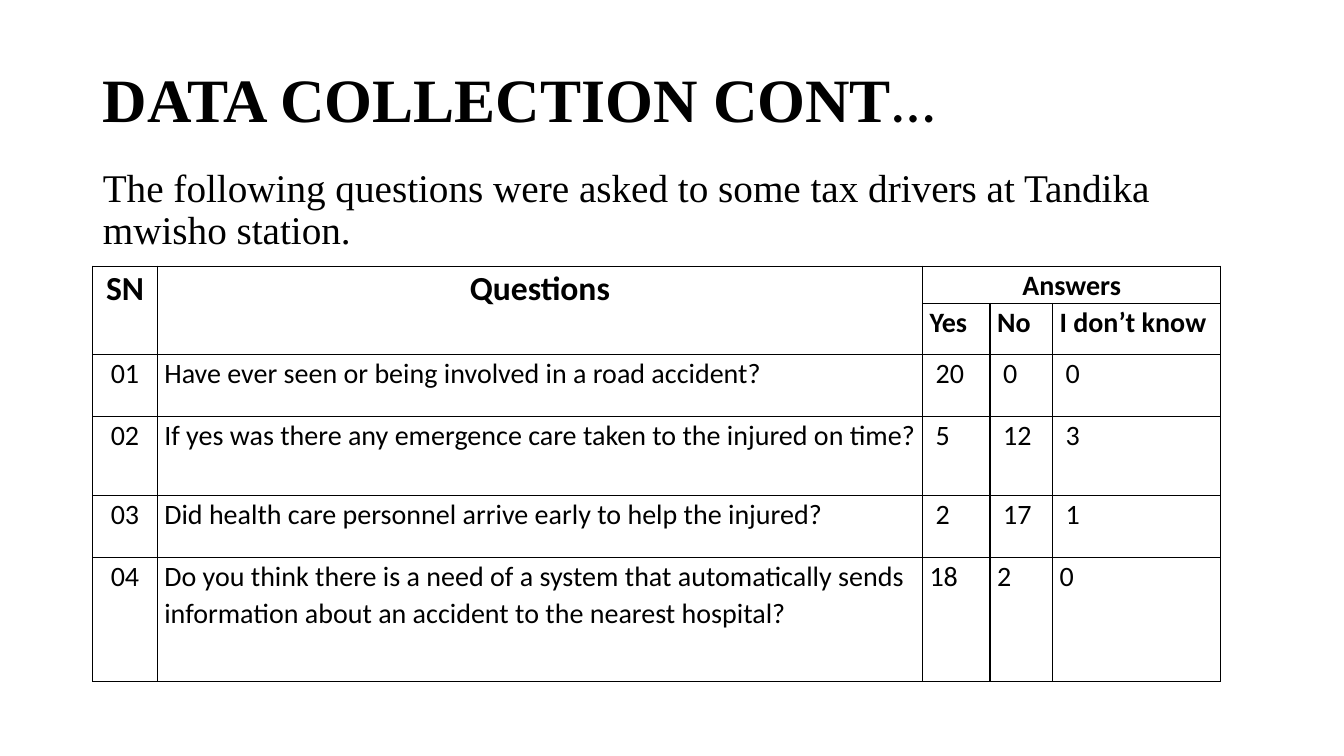
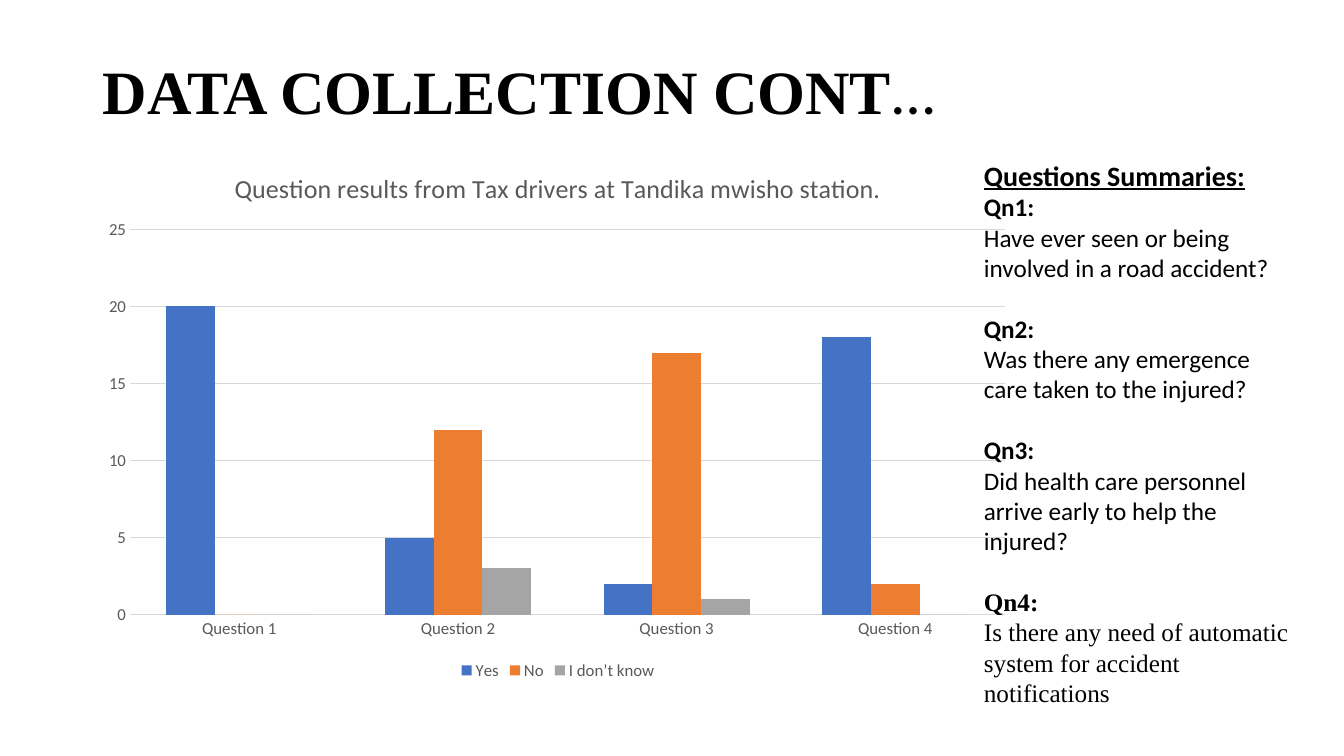
import pptx
import pptx.util
import pptx.chart.data
import pptx.dml.color
import pptx.enum.chart
import pptx.enum.text
import pptx.oxml
import pptx.oxml.ns

Inches, Pt = pptx.util.Inches, pptx.util.Pt
ALIGN = pptx.enum.text.PP_ALIGN
SERIF, SANS = "Times New Roman", "Calibri"
BLACK, GREY, GRID = "000000", "595959", "D9D9D9"
LEFT, WIDTH = 0.92, 11.5
ANSWERS = ["Yes", "No", "I don’t know"]
ANSWER_COLORS = ["4472C4", "ED7D31", "A5A5A5"]
SURVEY = [
    ("Have ever seen or being involved in a road accident?", (20, 0, 0)),
    ("If yes was there any emergence care taken to the injured on time?", (5, 12, 3)),
    ("Did health care personnel arrive early to help the injured?", (2, 17, 1)),
    ("Do you think there is a need of a system that automatically sends "
     "information about an accident to the nearest hospital?", (18, 2, 0)),
]
SUMMARIES = [
    ("Have ever seen or being involved in a road accident?", SANS),
    ("Was there any emergence care taken to the injured?", SANS),
    ("Did health care personnel arrive early to help the injured?", SANS),
    ("Is there any need of automatic system for accident notifications", SERIF),
]


def rgb(color):
    return pptx.dml.color.RGBColor.from_string(color)


def style_font(font, size, face=SANS, color=BLACK, bold=False, underline=False):
    font.size, font.name, font.bold, font.underline = Pt(size), face, bold, underline
    font.color.rgb = rgb(color)


def add_run(paragraph, text, size, face=SANS, **style):
    run = paragraph.add_run()
    run.text = text
    style_font(run.font, size, face, **style)


def place(shape, box):
    shape.left, shape.top, shape.width, shape.height = map(Inches, box)


def add_title(slide, height):
    title = slide.shapes.title
    place(title, (LEFT, 0.4, WIDTH, height))
    frame = title.text_frame
    frame.auto_size = pptx.enum.text.MSO_AUTO_SIZE.NONE
    frame.vertical_anchor = pptx.enum.text.MSO_ANCHOR.MIDDLE
    heading = frame.paragraphs[0]
    heading.alignment, heading.line_spacing = ALIGN.LEFT, 0.9
    add_run(heading, "DATA COLLECTION CONT", 44, SERIF, bold=True)
    add_run(heading, "…", 44)


def add_intro(slide, box):
    body = slide.placeholders[1]
    place(body, box)
    body.text_frame.auto_size = pptx.enum.text.MSO_AUTO_SIZE.NONE
    intro = body.text_frame.paragraphs[0]
    # Plain paragraph: no bullet, no hanging indent
    properties = intro._p.get_or_add_pPr()
    properties.set("marL", "0")
    properties.set("indent", "0")
    properties.append(pptx.oxml.parse_xml(f'<a:buNone {pptx.oxml.ns.nsdecls("a")}/>'))
    intro.line_spacing, intro.space_before = 0.9, Pt(0)
    add_run(intro, "The following questions were asked to some tax drivers at "
                   "Tandika mwisho station.", 28, SERIF)


def outline_cell(cell):
    properties = cell._tc.get_or_add_tcPr()
    for side in "LRTB":
        properties.append(pptx.oxml.parse_xml(
            f'<a:ln{side} {pptx.oxml.ns.nsdecls("a")} w="12700"><a:solidFill>'
            f'<a:srgbClr val="{BLACK}"/></a:solidFill></a:ln{side}>'))
    cell.fill.background()


def write_cell(cell, text, size=20, bold=False, centered=False, indent=0):
    cell.margin_left = Inches(0.07 + indent)
    paragraph = cell.text_frame.paragraphs[0]
    paragraph.line_spacing = 1.07
    paragraph.alignment = ALIGN.CENTER if centered else ALIGN.LEFT
    add_run(paragraph, text, size, bold=bold)


def add_survey_table(slide, box):
    column_widths = [0.64, 7.59, 0.67, 0.62, 1.67]
    row_heights = [0.37, 0.51, 0.61, 0.79, 0.61, 1.23]
    survey = slide.shapes.add_table(len(row_heights), len(column_widths),
                                    *map(Inches, box)).table
    survey.first_row = survey.horz_banding = False
    for column, width in zip(survey.columns, column_widths):
        column.width = Inches(width / sum(column_widths) * box[2])
    for row, height in zip(survey.rows, row_heights):
        row.height = Inches(height / sum(row_heights) * box[3])
    for cell in survey.iter_cells():
        outline_cell(cell)
        cell.margin_right = Inches(0.07)
        cell.margin_top = cell.margin_bottom = 0

    # Two-level header
    for column, (text, size, last_row, last_column) in enumerate(
            [("SN", 24, 1, 0), ("Questions", 24, 1, 1), ("Answers", 20, 0, 4)]):
        header = survey.cell(0, column)
        header.merge(survey.cell(last_row, last_column))
        write_cell(header, text, size, bold=True, centered=True)
    for column, answer in enumerate(ANSWERS, 2):
        write_cell(survey.cell(1, column), answer, bold=True)

    # One row per question; counts are indented except in the last row
    for number, (question, counts) in enumerate(SURVEY, 1):
        row = number + 1
        write_cell(survey.cell(row, 0), f"{number:02}", centered=True)
        write_cell(survey.cell(row, 1), question)
        indent = 0.06 if number < len(SURVEY) else 0
        for column, count in enumerate(counts, 2):
            write_cell(survey.cell(row, column), str(count), indent=indent)


def fix_plot_area(chart, x, y, width, height):
    plot_area = chart._chartSpace.chart.plotArea
    for layout in plot_area.findall(pptx.oxml.ns.qn("c:layout")):
        plot_area.remove(layout)
    shares = "".join(f'<c:{tag} val="{share}"/>' for tag, share in
                     zip("xywh", (x, y, width, height)))
    plot_area.insert(0, pptx.oxml.parse_xml(
        f'<c:layout {pptx.oxml.ns.nsdecls("c")}><c:manualLayout>'
        '<c:layoutTarget val="inner"/><c:xMode val="edge"/><c:yMode val="edge"/>'
        f'{shares}</c:manualLayout></c:layout>'))


def add_results_chart(slide, box):
    results = pptx.chart.data.CategoryChartData()
    results.categories = [f"Question {n}" for n in range(1, len(SURVEY) + 1)]
    for answer, counts in zip(ANSWERS, zip(*(counts for _, counts in SURVEY))):
        results.add_series(answer, counts)
    chart = slide.shapes.add_chart(pptx.enum.chart.XL_CHART_TYPE.COLUMN_CLUSTERED,
                                   *map(Inches, box), results).chart
    style_font(chart.font, 10)
    add_run(chart.chart_title.text_frame.paragraphs[0],
            "Question results from Tax drivers at Tandika mwisho station.",
            18.6, color=GREY)
    chart.chart_title.include_in_layout = False
    fix_plot_area(chart, 0.04, 0.15, 0.94, 0.72)

    # Bars
    bars = chart.plots[0]
    bars.gap_width, bars.overlap, bars.vary_by_categories = 150, 0, False
    for series, color in zip(bars.series, ANSWER_COLORS):
        series.format.fill.solid()
        series.format.fill.fore_color.rgb = rgb(color)

    # Axes and gridlines
    for axis in (chart.category_axis, chart.value_axis):
        axis.major_tick_mark = axis.minor_tick_mark = pptx.enum.chart.XL_TICK_MARK.NONE
        axis.format.line.fill.background()
        style_font(axis.tick_labels.font, 12, color=GREY)
    counts_axis = chart.value_axis
    counts_axis.minimum_scale, counts_axis.maximum_scale = 0, 25
    counts_axis.major_unit = 5
    gridline = counts_axis.major_gridlines.format.line
    gridline.color.rgb, gridline.width = rgb(GRID), Pt(0.75)

    # Legend
    chart.has_legend = True
    chart.legend.position = pptx.enum.chart.XL_LEGEND_POSITION.BOTTOM
    chart.legend.include_in_layout = False
    style_font(chart.legend.font, 12, color=GREY)


def add_summaries(slide, box):
    frame = slide.shapes.add_textbox(*map(Inches, box)).text_frame
    frame.word_wrap = True
    add_run(frame.paragraphs[0], "Questions Summaries:", 20, bold=True, underline=True)
    for number, (summary, face) in enumerate(SUMMARIES, 1):
        label = frame.add_paragraph()
        label.space_before = Pt(22 if number > 1 else 0)
        add_run(label, f"Qn{number}:", 18, face, bold=True)
        add_run(frame.add_paragraph(), summary, 18, face)


def build_table_slide(deck):
    slide = deck.slides.add_slide(deck.slide_layouts.get_by_name("Title and Content"))
    add_title(slide, 1.23)
    add_intro(slide, (LEFT, 1.62, WIDTH, 1))
    add_survey_table(slide, (LEFT, 2.64, 11.19, 4.12))


def build_chart_slide(deck):
    slide = deck.slides.add_slide(deck.slide_layouts.get_by_name("Title Only"))
    add_title(slide, 1.08)
    add_results_chart(slide, (LEFT, 1.48, 9.23, 5.31))
    add_summaries(slide, (9.66, 1.52, 3.25, 5.6))


def main():
    deck = pptx.Presentation()
    deck.slide_width, deck.slide_height = Inches(13.33), Inches(7.5)
    build_table_slide(deck)
    build_chart_slide(deck)
    deck.save("out.pptx")


if __name__ == "__main__":
    main()
